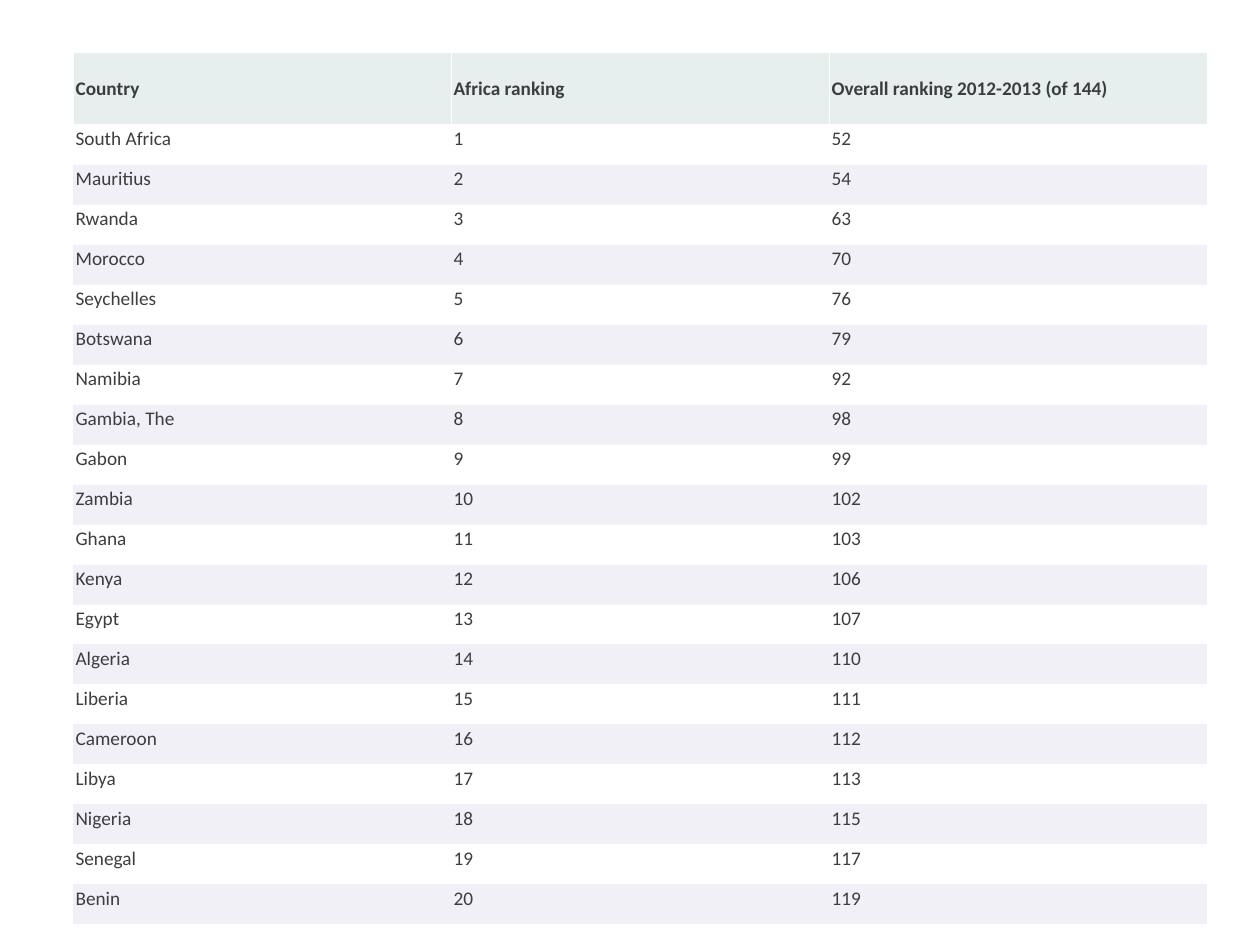
from lxml.etree import SubElement
from pptx import Presentation
from pptx.dml.color import RGBColor
from pptx.enum.text import MSO_ANCHOR
from pptx.oxml.ns import qn
from pptx.util import Inches, Pt

COLORS = {
    "text": "3D3D3D",
    "header": "E6EEEE",
    "band": "F0F0F6",
    "plain": "FFFFFF",
    "border": "FFFFFF",
}
PLAIN_TABLE_STYLE = "{2D5ABB26-0587-4C30-8999-92F81FD0307C}"  # no style, no grid

HEADINGS = ["Country", "Africa ranking", "Overall ranking 2012-2013 (of 144)"]

# Country and overall ranking, in order of Africa ranking
COUNTRIES = [
    ("South Africa", 52),
    ("Mauritius", 54),
    ("Rwanda", 63),
    ("Morocco", 70),
    ("Seychelles", 76),
    ("Botswana", 79),
    ("Namibia", 92),
    ("Gambia, The", 98),
    ("Gabon", 99),
    ("Zambia", 102),
    ("Ghana", 103),
    ("Kenya", 106),
    ("Egypt", 107),
    ("Algeria", 110),
    ("Liberia", 111),
    ("Cameroon", 112),
    ("Libya", 113),
    ("Nigeria", 115),
    ("Senegal", 117),
    ("Benin", 119),
]


def set_borders(cell, sides, color, width=0.75):
    """Draw solid borders on the given sides, in the order L, R, T, B."""
    properties = cell._tc.get_or_add_tcPr()
    for side in sides:
        line = SubElement(properties, qn(f"a:ln{side}"), w=str(Pt(width)))
        fill = SubElement(line, qn("a:solidFill"))
        SubElement(fill, qn("a:srgbClr"), val=color)


def write_text(cell, text, size=11, font="Calibri", color="text", bold=False,
               anchor=MSO_ANCHOR.TOP):
    cell.margin_left = cell.margin_right = Inches(0.02)
    cell.margin_top = cell.margin_bottom = Inches(0.02)
    cell.vertical_anchor = anchor
    span = cell.text_frame.paragraphs[0].add_run()
    span.text = text
    span.font.size = Pt(size)
    span.font.name = font
    span.font.bold = bold
    span.font.color.rgb = RGBColor.from_string(COLORS[color])


def fill_row(table, row, texts, fill, borders="", **text_format):
    for column, text in enumerate(texts):
        cell = table.cell(row, column)
        write_text(cell, text, **text_format)
        set_borders(cell, borders, COLORS["border"])
        cell.fill.solid()
        cell.fill.fore_color.rgb = RGBColor.from_string(COLORS[fill])


def add_ranking_table(page):
    header_height, body_height = Inches(0.57), Inches(6.35)
    frame = page.shapes.add_table(
        len(COUNTRIES) + 1, len(HEADINGS), Inches(0.58), Inches(0.42),
        Inches(9), header_height + body_height)
    table = frame.table
    table._tbl.tblPr.find(qn("a:tableStyleId")).text = PLAIN_TABLE_STYLE

    # Row heights
    for row in table.rows:
        row.height = body_height // len(COUNTRIES)
    table.rows[0].height = header_height

    # Header
    fill_row(table, 0, HEADINGS, "header", borders="LRTB", bold=True,
             anchor=MSO_ANCHOR.MIDDLE)

    # Countries, with every second row shaded
    for rank, (country, overall) in enumerate(COUNTRIES, start=1):
        fill_row(table, rank, [country, str(rank), str(overall)],
                 "plain" if rank % 2 else "band",
                 borders="T" if rank == 1 else "")


def main():
    deck = Presentation()
    deck.slide_width, deck.slide_height = Inches(10), Inches(7.5)
    page = deck.slides.add_slide(deck.slide_layouts[6])
    add_ranking_table(page)
    deck.save("out.pptx")


if __name__ == "__main__":
    main()
